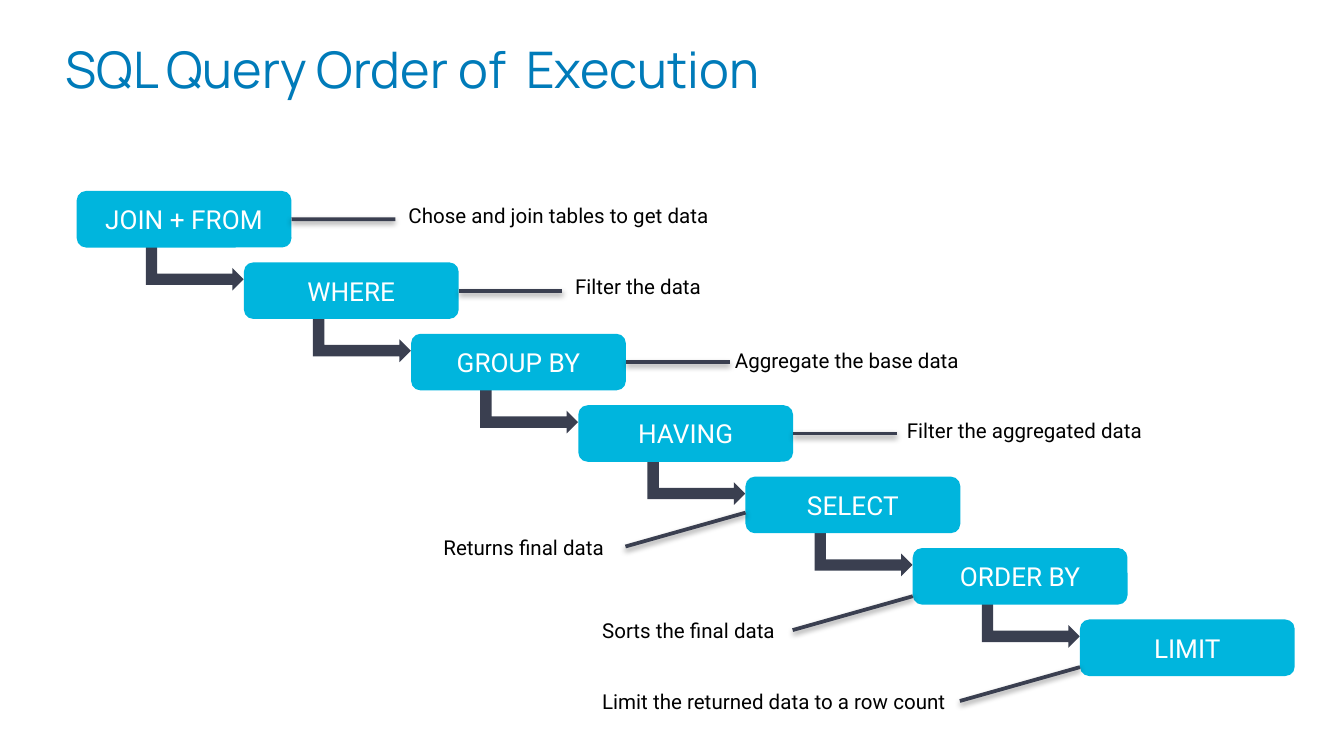
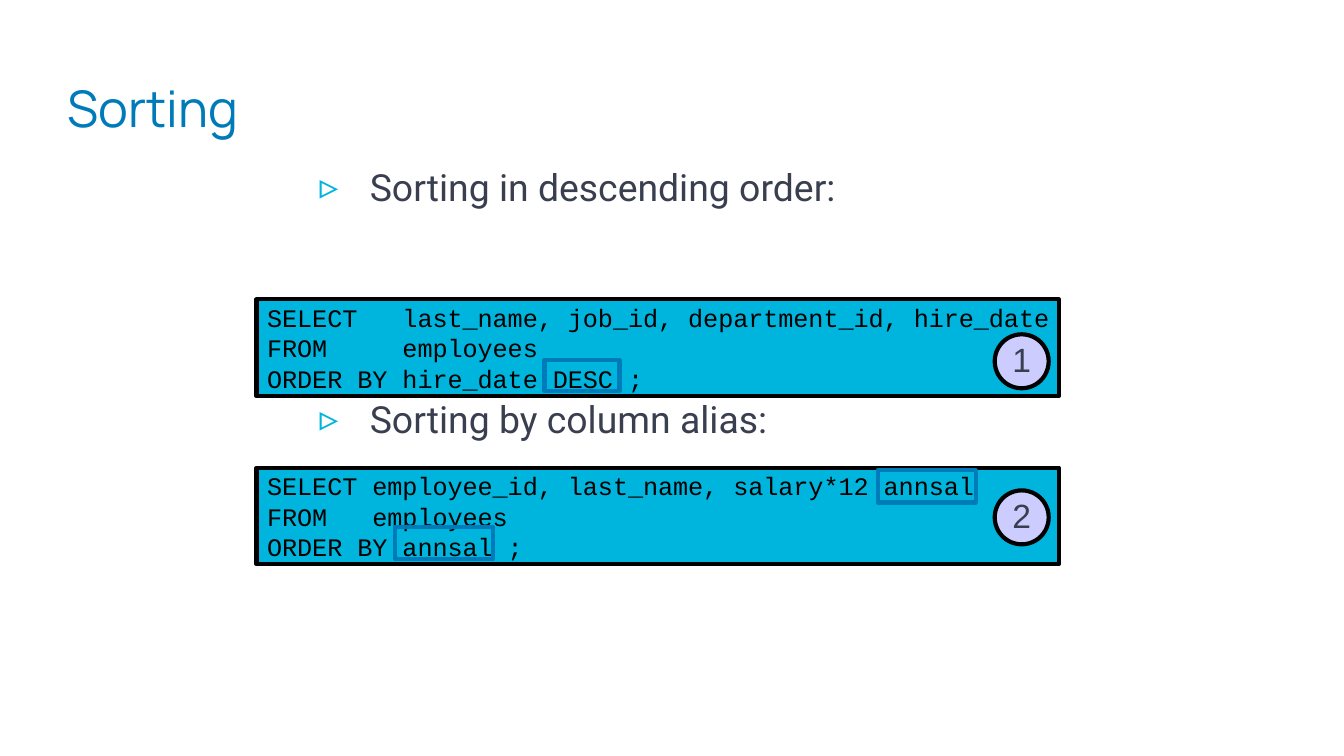
"""Build two slides on SQL: the order of execution and sorting."""
from lxml.etree import SubElement
from pptx import Presentation
from pptx.dml.color import RGBColor
from pptx.enum.shapes import MSO_CONNECTOR as Link, MSO_SHAPE as Kind
from pptx.enum.text import MSO_ANCHOR as Anchor, MSO_AUTO_SIZE as Fit, PP_ALIGN as Align
from pptx.oxml.ns import qn
from pptx.util import Cm, Pt

rgb = RGBColor.from_string
BLUE, CYAN, DARK, LILAC = "007BB9", "00B5DD", "3A3F50", "CCCCFF"
BLACK, WHITE = "000000", "FFFFFF"


def write(shape, text, size, font, color, align=Align.LEFT, anchor=Anchor.TOP,
          insets=(0.25, 0.13), wrap=True, spacing=None):
    """Fill a shape with text, one paragraph per line, and return its frame."""
    frame = shape.text_frame
    frame.word_wrap = wrap
    frame.vertical_anchor = anchor
    frame.margin_left = frame.margin_right = Cm(insets[0])
    frame.margin_top = frame.margin_bottom = Cm(insets[1])
    frame.text = text
    for paragraph in frame.paragraphs:
        paragraph.alignment = align
        paragraph.line_spacing = spacing
        for run in paragraph.runs:
            run.font.size = Pt(size)
            run.font.name = font
            run.font.color.rgb = rgb(color)
    return frame


def draw(slide, kind, left, top, width, height, fill=None, outline=None):
    """Add a flat preset shape."""
    shape = slide.shapes.add_shape(kind, Cm(left), Cm(top), Cm(width), Cm(height))
    shape.shadow.inherit = False
    if fill:
        shape.fill.solid()
        shape.fill.fore_color.rgb = rgb(fill)
    else:
        shape.fill.background()
    if outline:
        shape.line.color.rgb = rgb(outline)
        shape.line.width = Pt(2.25)
    else:
        shape.line.fill.background()
    return shape


deck = Presentation()
deck.slide_width, deck.slide_height = Cm(25.4), Cm(14.29)

slides = []
for heading, left, top in [("SQL Query Order of  Execution", 1.24, 0.94),
                           ("Sorting", 1.27, 1.68)]:
    slide = deck.slides.add_slide(deck.slide_layouts[6])
    title = slide.shapes.add_textbox(Cm(left), Cm(top), Cm(15.67), Cm(3))
    write(title, heading, 27, "Manrope", BLUE, insets=(0, 0), spacing=0.8)
    slides.append(slide)
execution, sorting = slides

clauses = [
    ("JOIN + FROM", "Chose and join tables to get data", 7.47, 3.71, 7.49),
    ("WHERE", "Filter the data", 10.62, 5.05, 3.81),
    ("GROUP BY", "Aggregate the base data", 13.64, 6.45, 5.08),
    ("HAVING", "Filter the aggregated data", 16.89, 7.77, 7.11),
    ("SELECT", "Returns final data", 8.13, 9.98, 3.68),
    ("ORDER BY", "Sorts the final data", 11.13, 11.56, 3.86),
    ("LIMIT", "Limit the returned data to a row count", 11.13, 12.9, 7.01),
]
STEP_WIDTH, STEP_HEIGHT = 4.06, 1.07
for index, (clause, meaning, note_left, note_top, note_width) in enumerate(clauses):
    left, top = 1.45 + 3.16 * index, 3.61 + 1.35 * index
    if index < len(clauses) - 1:
        arrow = draw(execution, Kind.BENT_UP_ARROW, left + 1.8, top + 0.53, 0.86, 1.85, DARK)
        arrow.rotation = 90
    step = draw(execution, Kind.ROUNDED_RECTANGLE, left, top, STEP_WIDTH, STEP_HEIGHT, CYAN)
    write(step, clause, 14, "Roboto", WHITE, align=Align.CENTER, anchor=Anchor.MIDDLE)

    note = execution.shapes.add_textbox(Cm(note_left), Cm(note_top), Cm(note_width), Cm(0.74))
    write(note, meaning, 11, "Roboto", BLACK).auto_size = Fit.SHAPE_TO_FIT_TEXT

    note_on_right = note_left > left
    if note_on_right:
        right, middle = left + STEP_WIDTH, top + STEP_HEIGHT / 2
        ends = right, middle, right + 1.96, middle
    else:
        ends = left - 2.27, note_top + 0.35, left, note_top - 0.29
    leader = execution.shapes.add_connector(Link.STRAIGHT, *map(Cm, ends))
    if note_on_right:
        leader.begin_connect(step, 3)
    leader.line.color.rgb = rgb(DARK)
    leader.line.width = Pt(2)
    effects = SubElement(leader._element.spPr, qn("a:effectLst"))
    shadow = SubElement(effects, qn("a:outerShdw"), blurRad=str(Pt(3.1)), dist=str(Pt(1.6)),
                        dir="5400000", rotWithShape="0")
    shade = SubElement(shadow, qn("a:srgbClr"), val=BLACK)
    SubElement(shade, qn("a:alpha"), val="38000")

topics = sorting.shapes.add_textbox(Cm(4.45), Cm(3.02), Cm(16.48), Cm(5.64))
topics_frame = write(topics, "Sorting in descending order:\nSorting by column alias:",
                     20, "Roboto", DARK, insets=(0, 0), spacing=1.1)
for topic, gap in zip(topics_frame.paragraphs, (6, 98)):
    topic.level = 1
    topic.space_before = Pt(gap)
    properties = topic._p.get_or_add_pPr()
    properties.set("marL", str(Cm(2.54)))
    properties.set("indent", str(Cm(-0.95)))
    bullet_color = SubElement(properties, qn("a:buClr"))
    SubElement(bullet_color, qn("a:srgbClr"), val=CYAN)
    SubElement(properties, qn("a:buFont"), typeface="Roboto")
    SubElement(properties, qn("a:buChar"), char="▹")

queries = [
    ("SELECT   last_name, job_id, department_id, hire_date\n"
     "FROM     employees\n"
     "ORDER BY hire_date DESC ;", 5.66, 6.32, [(10.29, 6.81, 1.42, 0.58)]),
    ("SELECT employee_id, last_name, salary*12 annsal\n"
     "FROM   employees\n"
     "ORDER BY annsal ;", 8.84, 9.27, [(16.59, 8.89, 1.85, 0.61), (7.47, 9.96, 1.85, 0.61)]),
]
for number, (code, top, badge_top, highlights) in enumerate(queries, 1):
    query = draw(sorting, Kind.RECTANGLE, 4.85, top, 15.16, 1.83, CYAN, BLACK)
    write(query, code, 13.5, "Courier New", BLACK, anchor=Anchor.MIDDLE,
          insets=(0.2, 0.1), wrap=False)
    for place in highlights:
        draw(sorting, Kind.RECTANGLE, *place, outline=BLUE)
    badge = draw(sorting, Kind.OVAL, 18.8, badge_top, 1.02, 1.02, LILAC, BLACK)
    write(badge, str(number), 18, "Arial", DARK, align=Align.CENTER, anchor=Anchor.MIDDLE,
          insets=(0.1, 0.1), wrap=False, spacing=0.95)

deck.save("out.pptx")
